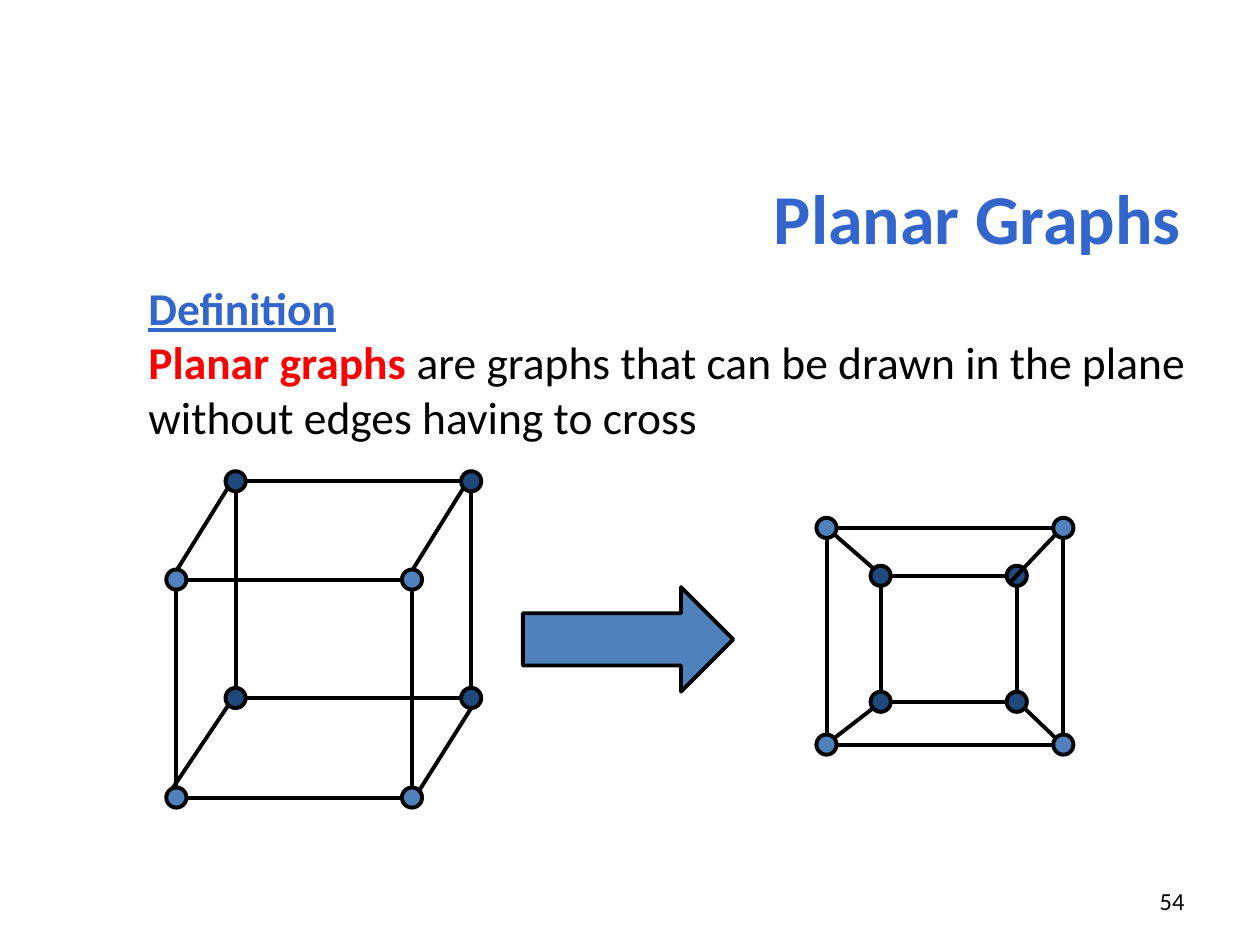
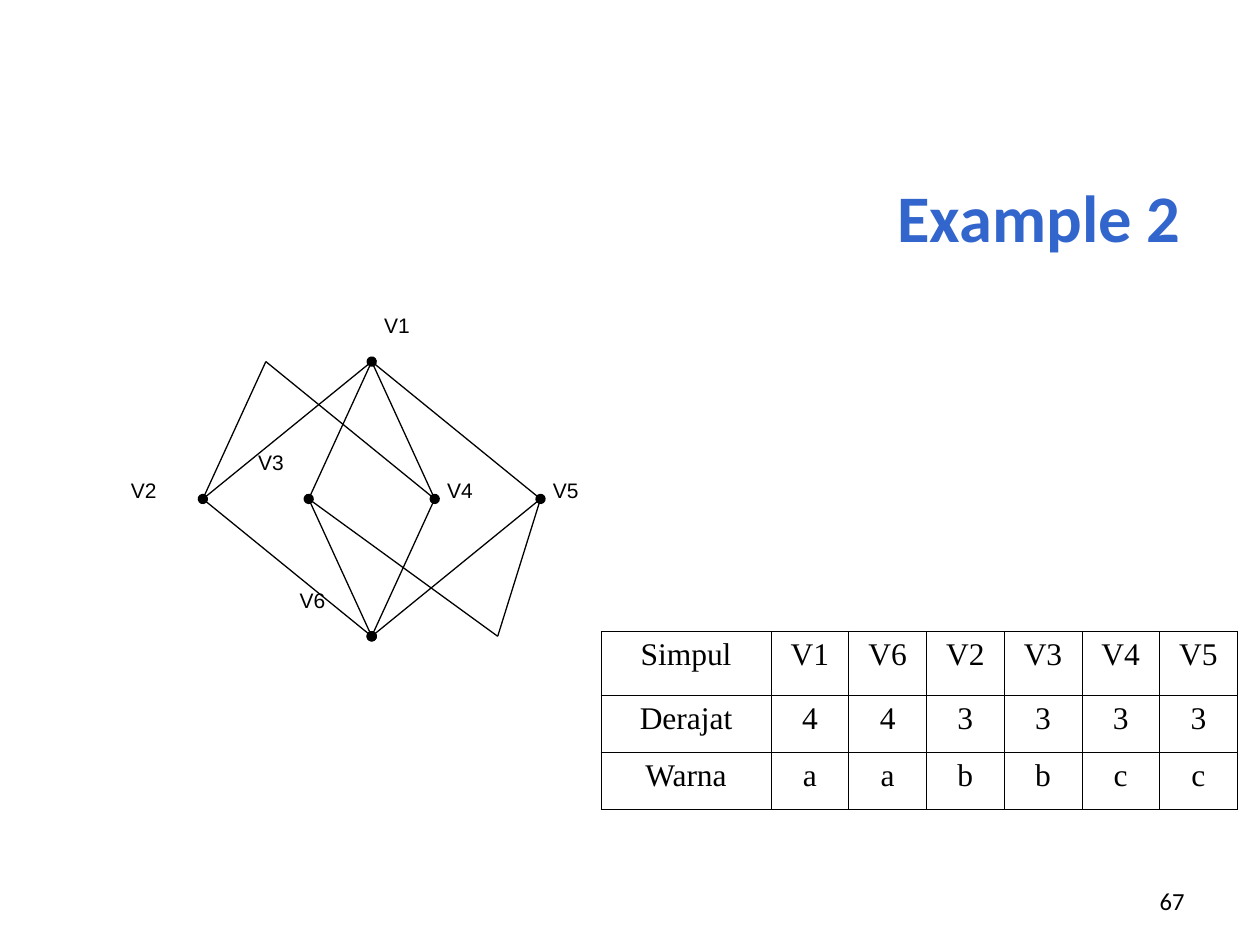
"""Build two graph theory slides: planar graphs and a vertex colouring example."""
import lxml.etree
import pptx
import pptx.dml.color
import pptx.enum.shapes
import pptx.enum.text
import pptx.oxml.ns
import pptx.util
from pptx.util import Inches

COLORS = {
    "title": "3366CC",
    "text": "000000",
    "term": "FF0000",
    "front": "4F81BD",
    "back": "1F497D",
    "paper": "FFFFFF",
}
ALIGN = pptx.enum.text.PP_ALIGN
ANCHOR = pptx.enum.text.MSO_ANCHOR
SHAPE = pptx.enum.shapes.MSO_SHAPE
RADIUS = 0.08


def rgb(name):
    return pptx.dml.color.RGBColor.from_string(COLORS[name])


def add_text(paragraph, text, size=14, font="Calibri", color="text", bold=False,
             underline=False, align=ALIGN.LEFT):
    paragraph.alignment = align
    run = paragraph.add_run()
    run.text = text
    run.font.size = pptx.util.Pt(size)
    run.font.name = font
    run.font.bold = bold
    run.font.underline = underline
    run.font.color.rgb = rgb(color)


def add_element(parent, tag, **attributes):
    return lxml.etree.SubElement(parent, pptx.oxml.ns.qn(tag), attributes)


class Deck:
    def __init__(self):
        self.presentation = pptx.Presentation()
        self.presentation.slide_width = Inches(10)
        self.presentation.slide_height = Inches(7.5)
        self.slide = None

    def start_slide(self, title, number, title_size):
        self.slide = self.presentation.slides.add_slide(self.presentation.slide_layouts[6])
        number_frame = self.text_box(7.17, 6.95, 2.33, 0.4, ANCHOR.MIDDLE)
        add_text(number_frame.paragraphs[0], number, align=ALIGN.RIGHT)
        title_frame = self.text_box(0.47, 1.09, 9, 1.25, ANCHOR.MIDDLE)
        add_text(title_frame.paragraphs[0], title, size=title_size, color="title",
                 bold=True, align=ALIGN.RIGHT)

    def text_box(self, left, top, width, height, anchor=ANCHOR.TOP, fill=None):
        box = self.slide.shapes.add_textbox(
            Inches(left), Inches(top), Inches(width), Inches(height))
        if fill:
            box.fill.solid()
            box.fill.fore_color.rgb = rgb(fill)
        box.text_frame.word_wrap = True
        box.text_frame.vertical_anchor = anchor
        return box.text_frame

    def shape(self, kind, left, top, width, height, fill):
        shape = self.slide.shapes.add_shape(
            kind, Inches(left), Inches(top), Inches(width), Inches(height))
        shape.shadow.inherit = False
        shape.fill.solid()
        shape.fill.fore_color.rgb = rgb(fill)
        shape.line.color.rgb = rgb("text")
        shape.line.width = pptx.util.Pt(2.25)

    def edge(self, start, end, width=2.25, dots=False):
        connector = self.slide.shapes.add_connector(
            pptx.enum.shapes.MSO_CONNECTOR.STRAIGHT, *map(Inches, (*start, *end)))
        connector.line.color.rgb = rgb("text")
        connector.line.width = pptx.util.Pt(width)
        properties = connector._element.spPr
        if dots:
            line = properties.find(pptx.oxml.ns.qn("a:ln"))
            add_element(line, "a:headEnd", type="oval")
            add_element(line, "a:tailEnd", type="oval")
        add_element(properties, "a:effectLst")

    def square_graph(self, left, top, right, bottom, fill):
        for y in (top, bottom):
            self.edge((left + RADIUS, y), (right - RADIUS, y))
        for x in (left, right):
            self.edge((x, top + RADIUS), (x, bottom - RADIUS))
            for y in (top, bottom):
                self.shape(SHAPE.OVAL, x - RADIUS, y - RADIUS, 2 * RADIUS, 2 * RADIUS, fill)

    def table(self, left, top, column_widths, row_heights, rows):
        table = self.slide.shapes.add_table(
            len(rows), len(column_widths), Inches(left), Inches(top),
            Inches(sum(column_widths)), Inches(sum(row_heights))).table
        table.first_row = table.horz_banding = False
        for column, width in zip(table.columns, column_widths):
            column.width = Inches(width)
        for row, height, texts in zip(table.rows, row_heights, rows):
            row.height = Inches(height)
            for cell, text in zip(row.cells, texts):
                self.table_cell(cell, text)

    def table_cell(self, cell, text):
        add_text(cell.text_frame.paragraphs[0], text, size=18, font="Times New Roman",
                 align=ALIGN.CENTER)
        properties = cell._tc.get_or_add_tcPr()
        for side in ("a:lnL", "a:lnR", "a:lnT", "a:lnB"):
            border = add_element(properties, side, w=str(pptx.util.Pt(0.45)))
            fill = add_element(border, "a:solidFill")
            add_element(fill, "a:srgbClr", val=COLORS["text"])
        cell.fill.solid()
        cell.fill.fore_color.rgb = rgb("paper")


def build_planar_graphs(deck):
    deck.start_slide("Planar Graphs", "54", 40)
    body = deck.text_box(1.08, 2.17, 8.58, 3.85)
    add_text(body.paragraphs[0], "Definition", size=26, color="title", bold=True,
             underline=True, align=ALIGN.JUSTIFY)
    definition = body.add_paragraph()
    add_text(definition, "Planar graphs ", size=26, color="term", bold=True)
    add_text(definition, "are graphs that can be drawn in the plane without edges "
             "having to cross", size=26)

    cube_diagonals = [
        ((1.81, 3.87), (1.4, 4.53)), ((3.68, 3.87), (3.27, 4.53)),
        ((3.74, 5.62), (3.33, 6.27)), ((1.81, 5.6), (1.32, 6.33)),
    ]
    for start, end in cube_diagonals:
        deck.edge(start, end)
    deck.square_graph(1.87, 3.82, 3.74, 5.54, "back")
    deck.square_graph(1.4, 4.6, 3.27, 6.33, "front")

    deck.square_graph(6.56, 4.19, 8.44, 5.91, "front")
    deck.square_graph(6.99, 4.57, 8.07, 5.57, "back")
    planar_diagonals = [
        ((6.93, 4.51), (6.62, 4.24)), ((8.02, 4.62), (8.38, 4.24)),
        ((8.13, 5.62), (8.38, 5.86)), ((6.93, 5.62), (6.62, 5.86)),
    ]
    for start, end in planar_diagonals:
        deck.edge(start, end)
    deck.shape(SHAPE.RIGHT_ARROW, 4.15, 4.66, 1.67, 0.83, "front")


def build_coloring_example(deck):
    deck.start_slide("Example 2", "67", 38)
    labels = {
        "V6": (2.28, 4.61), "V5": (4.29, 3.74), "V4": (3.45, 3.74),
        "V2": (0.94, 3.74), "V3": (1.95, 3.52), "V1": (2.95, 2.43),
    }
    for name, (left, top) in labels.items():
        frame = deck.text_box(left, top, 0.67, 0.65, fill="paper")
        add_text(frame.paragraphs[0], name, size=12, font="Arial")

    vertices = {
        "V1": (2.95, 2.87), "V2": (1.61, 3.96), "V3": (2.45, 3.96),
        "V4": (3.45, 3.96), "V5": (4.29, 3.96), "V6": (2.95, 5.05),
        "upper bend": (2.11, 2.87), "lower bend": (3.95, 5.05),
    }
    dotted_edges = [("V1", "V2"), ("V5", "V6"), ("V4", "V6"), ("V3", "V6")]
    plain_edges = [
        ("V1", "V5"), ("V2", "V6"), ("V1", "V3"), ("V1", "V4"),
        ("V2", "upper bend"), ("upper bend", "V4"),
        ("V3", "lower bend"), ("lower bend", "V5"),
    ]
    for edges, dots in ((dotted_edges, True), (plain_edges, False)):
        for start, end in edges:
            deck.edge(vertices[start], vertices[end], width=0.75, dots=dots)

    value_width = (5.05 - 1.35) / 6
    deck.table(4.77, 5.01, [1.35] + [value_width] * 6, [0.51, 0.45, 0.45], [
        ["Simpul", "V1", "V6", "V2", "V3", "V4", "V5"],
        ["Derajat", "4", "4", "3", "3", "3", "3"],
        ["Warna", "a", "a", "b", "b", "c", "c"],
    ])


def main():
    deck = Deck()
    build_planar_graphs(deck)
    build_coloring_example(deck)
    deck.presentation.save("out.pptx")


if __name__ == "__main__":
    main()
